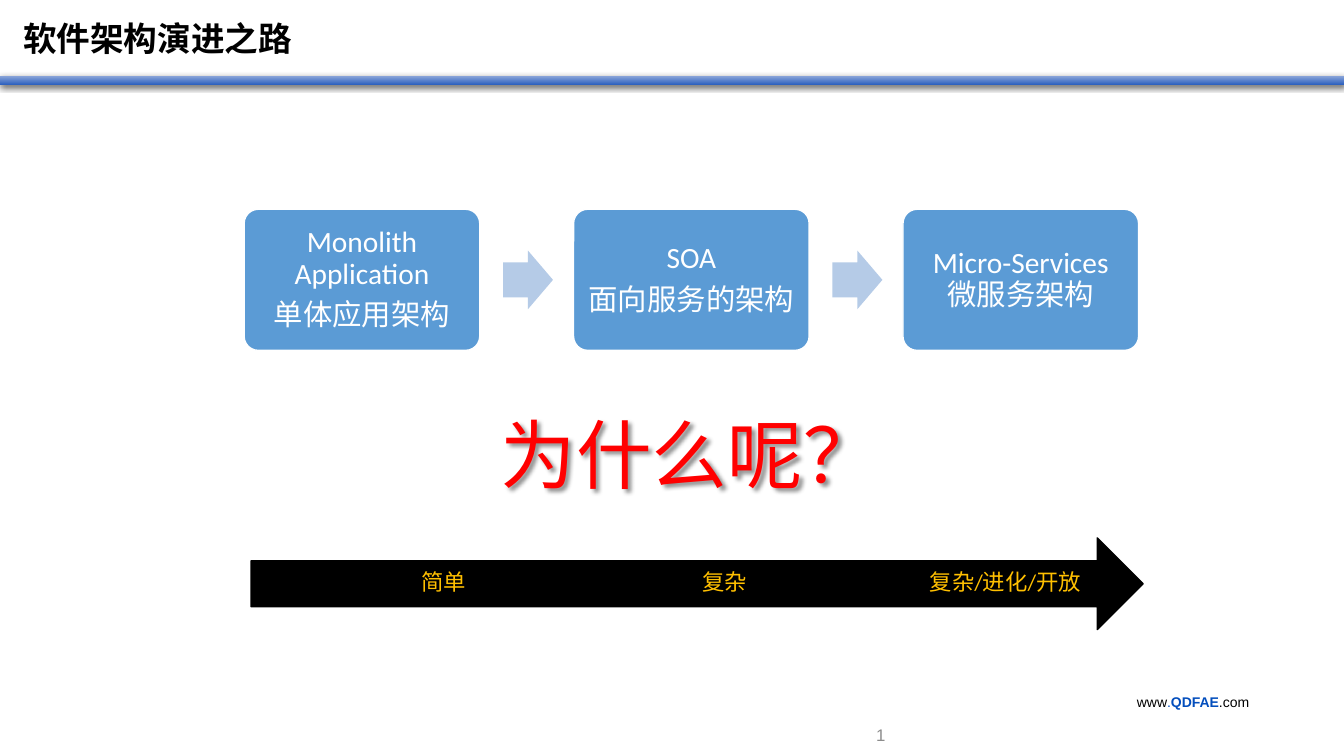
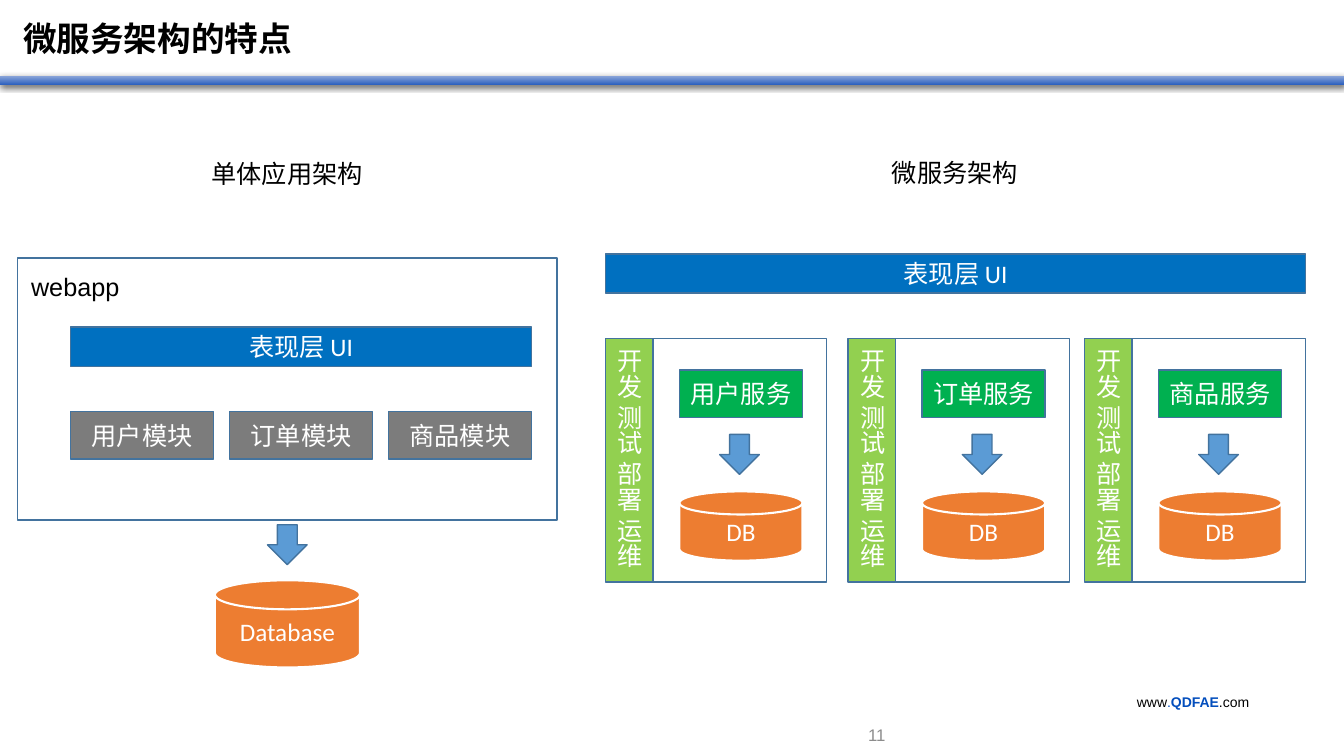
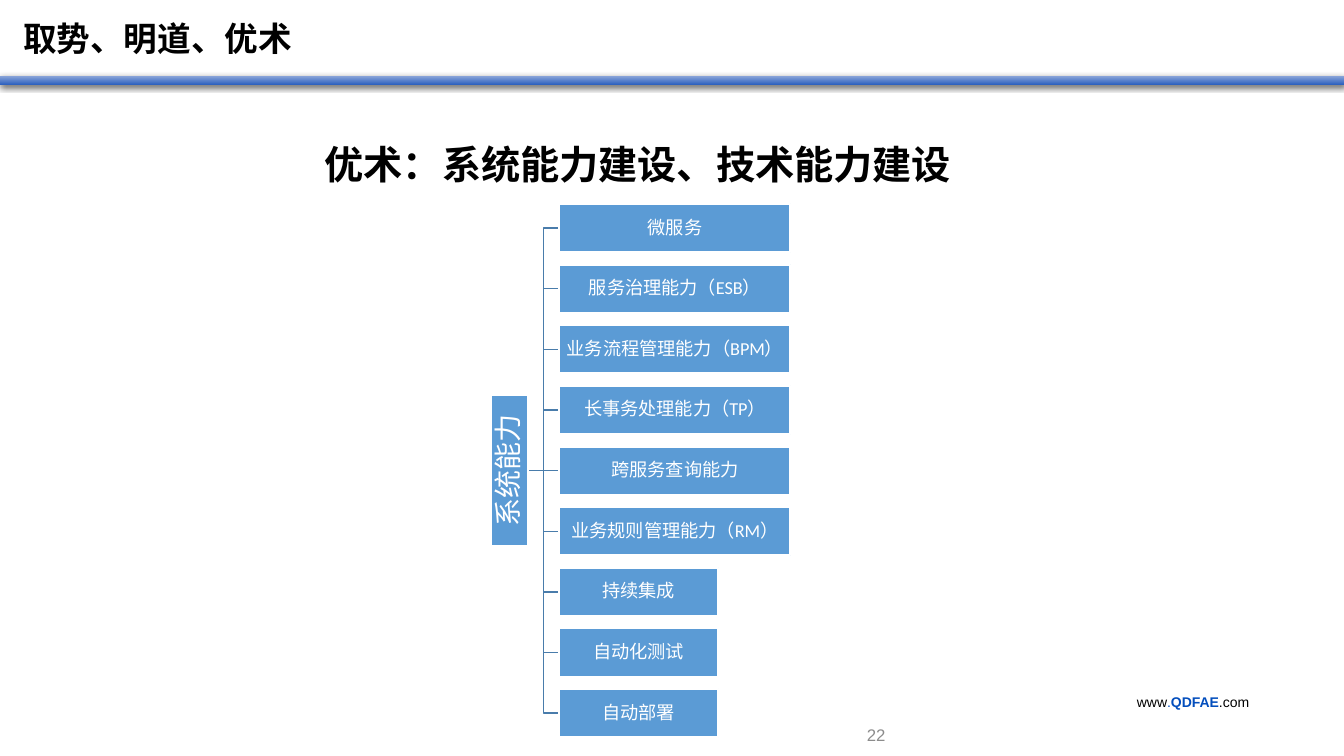
from lxml import etree
from pptx import Presentation
from pptx.dml.color import RGBColor
from pptx.enum.shapes import MSO_CONNECTOR, MSO_SHAPE
from pptx.enum.text import MSO_ANCHOR, PP_ALIGN
from pptx.oxml.ns import qn
from pptx.util import Pt

RECT = MSO_SHAPE.RECTANGLE
ROUND = MSO_SHAPE.ROUNDED_RECTANGLE
RIGHT = MSO_SHAPE.RIGHT_ARROW
DOWN = MSO_SHAPE.DOWN_ARROW
DISK = MSO_SHAPE.FLOWCHART_MAGNETIC_DISK
LINE, ELBOW = MSO_CONNECTOR.STRAIGHT, MSO_CONNECTOR.ELBOW
LEFT, MID, END = PP_ALIGN.LEFT, PP_ALIGN.CENTER, PP_ALIGN.RIGHT
TOP, HALF = MSO_ANCHOR.TOP, MSO_ANCHOR.MIDDLE

BLACK, WHITE, GREY = "000000", "FFFFFF", "7C7C7C"
BLUE, PALE, DEEP, EDGE = "5B9BD5", "B5CBE7", "0070C0", "43739E"
GREEN, LIME, ORANGE = "00B050", "92D050", "ED7D31"
RED, GOLD, LINK, TREE = "FF0000", "FFC000", "034EBD", "497CAB"
FAINT = "8C8C8C"


def rgb(code):
    return RGBColor.from_string(code)


def cast(shape, blur, dist, angle, alpha):
    """Give a shape an outer shadow: points, degrees and percent."""
    shape.shadow.inherit = False
    effects = shape._element.spPr.find(qn("a:effectLst"))
    outer = etree.SubElement(
        effects, qn("a:outerShdw"), blurRad=str(Pt(blur)),
        dist=str(Pt(dist)), dir=str(angle * 60000), rotWithShape="0")
    color = etree.SubElement(outer, qn("a:srgbClr"), val=BLACK)
    etree.SubElement(color, qn("a:alpha"), val=str(alpha * 1000))


def style(para, size, color, face, bold=False):
    font = para.font
    font.size, font.name, font.bold = Pt(size), face, bold
    font.color.rgb = rgb(color)


def write(shape, lines, size, color=WHITE, face="Calibri", bold=False,
          align=MID, anchor=HALF, inset=(7.2, 3.6), wrap=True,
          space=1, gap=0):
    """Fill a shape with one paragraph per line."""
    frame = shape.text_frame
    frame.word_wrap, frame.vertical_anchor = wrap, anchor
    frame.margin_left = frame.margin_right = Pt(inset[0])
    frame.margin_top = frame.margin_bottom = Pt(inset[1])
    for i, line in enumerate(lines):
        para = frame.add_paragraph() if i else frame.paragraphs[0]
        para.text, para.alignment = line, align
        para.line_spacing = space
        para.space_before = Pt(gap if i else 0)
        style(para, size, color, face, bold)


def block(slide, kind, box, fill, line=None, width=1):
    shape = slide.shapes.add_shape(kind, *map(Pt, box))
    shape.shadow.inherit = False
    shape.fill.solid()
    shape.fill.fore_color.rgb = rgb(fill)
    if line:
        shape.line.color.rgb = rgb(line)
        shape.line.width = Pt(width)
    else:
        shape.line.fill.background()
    return shape


def label(slide, box, text, size, color=BLACK, **kind):
    """Add a one-line text box."""
    look = dict(face="Arial", align=LEFT, anchor=TOP, wrap=False)
    shape = slide.shapes.add_textbox(*map(Pt, box))
    write(shape, [text], size, color, **{**look, **kind})
    return shape


def cell(slide, box, text, fill):
    shape = block(slide, RECT, box, fill, EDGE)
    write(shape, [text], 18)
    return shape


def store(slide, box, text):
    write(block(slide, DISK, box, ORANGE, WHITE, 1.5), [text], 18)


def drop(slide, x, y):
    block(slide, DOWN, (x, y, 28.3, 28.5), BLUE, EDGE)


def wire(slide, kind, x1, y1, x2, y2):
    line = slide.shapes.add_connector(kind, *map(Pt, (x1, y1, x2, y2)))
    line.line.color.rgb = rgb(TREE)
    line.line.width = Pt(1)
    etree.SubElement(line._element.spPr, qn("a:effectLst"))
    return line


def page(deck, title, number):
    """Start a slide with the shared title, band and footer."""
    slide = deck.slides.add_slide(deck.slide_layouts[6])
    band = block(slide, RECT, (0, 54.4, 960, 6), BLUE)
    band.fill.gradient()
    band.fill.gradient_angle = 270
    for stop, color in zip(band.fill.gradient_stops, ("8BA5D9", "2F62BF")):
        stop.color.rgb = rgb(color)
    cast(band, 4.5, 1.5, 90, 63)
    label(slide, (9.4, 9.4, 208, 36), title, 24, bold=True)
    label(slide, (416, 509.8, 223.6, 30), number, 12, FAINT,
          align=END, anchor=HALF)
    # Web address in mixed colours
    site = label(slide, (805, 491.8, 96.5, 19.4), "", 10)
    para = site.text_frame.paragraphs[0]
    for text, color, bold in (("www", BLACK, False), (".", LINK, False),
                              ("QDFAE", LINK, True), (".com", BLACK, False)):
        run = para.add_run()
        run.text, run.font.bold = text, bold
        run.font.color.rgb = rgb(color)
    return slide


def road(deck):
    slide = page(deck, "软件架构演进之路", "1")
    # Three stages with arrows between
    stages = (["Monolith Application", "单体应用架构"],
              ["SOA", "面向服务的架构"], ["Micro-Services 微服务架构"])
    for i, lines in enumerate(stages):
        x = 174.4 + 235.3 * i
        stage = block(slide, ROUND, (x, 149.5, 168.3, 100.8), BLUE, WHITE)
        stage.adjustments[0] = 0.1
        write(stage, lines, 21, inset=(6, 6), space=0.9, gap=7)
        if i:
            arrow = block(slide, RIGHT, (x - 50.4, 179, 35.7, 41.8), PALE)
            arrow.adjustments[0] = 0.6
    # Question
    ask = label(slide, (350.6, 287.8, 287.3, 72.7), "为什么呢？", 54, RED)
    cast(ask, 3, 3, 45, 43)
    # Scale from simple to open
    block(slide, RIGHT, (179.3, 384.2, 637.2, 65.5), BLACK, BLACK)
    for i, text in enumerate(("简单", "复杂", "复杂/进化/开放")):
        label(slide, (233.2 + 200.7 * i, 400.5, 167, 32.4), text, 16, GOLD,
              face="Calibri", align=MID, anchor=HALF, inset=(0, 0),
              wrap=True, space=0.9)


def traits(deck):
    slide = page(deck, "微服务架构的特点", "11")
    layer = "表现层 UI"
    # Monolith
    label(slide, (144, 109.8, 123.8, 28.8), "单体应用架构", 18)
    block(slide, RECT, (12.5, 184.3, 385.4, 187.2), WHITE, EDGE)
    label(slide, (15.1, 190, 78.5, 28.8), "webapp", 18)
    cell(slide, (50.4, 233.7, 329.3, 28), layer, DEEP)
    for i, text in enumerate(("用户模块", "订单模块", "商品模块")):
        cell(slide, (50.4 + 113.5 * i, 294, 102.2, 34), text, GREY)
    drop(slide, 191.1, 374.8)
    store(slide, (153.5, 414.5, 103.7, 62.3), "Database")
    # Services, each with its own team and data
    label(slide, (630, 109, 105, 28.8), "微服务架构", 18)
    cell(slide, (432.7, 181.4, 499.7, 28), layer, DEEP)
    teams = ((432.5, "用户服务"), (605.8, "订单服务"), (774.7, "商品服务"))
    for x, text in teams:
        block(slide, RECT, (x + 34, 242, 124, 173.7), WHITE, EDGE)
        cell(slide, (x + 52.8, 264.2, 88, 34), text, GREEN)
        drop(slide, x + 81.6, 310.3)
        store(slide, (x + 52.8, 351, 88, 49.5), "DB")
        strip = cell(slide, (x, 242, 34, 173.7), "开发 测试 部署 运维", LIME)
        strip.text_frame._txBody.bodyPr.set("vert", "eaVert")


def skills(deck):
    slide = page(deck, "取势、明道、优术", "22")
    label(slide, (224.8, 96.5, 466.6, 41), "优术：系统能力建设、技术能力建设",
          28, bold=True)
    names = ("微服务", "服务治理能力（ESB）", "业务流程管理能力（BPM）",
             "长事务处理能力（TP）", "跨服务查询能力",
             "业务规则管理能力（RM）", "持续集成", "自动化测试", "自动部署")
    top, step, high = 145.7, 43.3, 34.5
    start, left, half = 376.8, 399.6, len(names) // 2
    center = top + step * half + high / 2
    # Branches from the root to each skill
    for i, text in enumerate(names):
        y, wide = top + step * i, 165 if i < 6 else 113.3
        kind = LINE if i == half else ELBOW
        twig = wire(slide, kind, start, center, left, y + high / 2)
        item = block(slide, RECT, (left, y, wide, high), BLUE, WHITE, 1.5)
        write(item, [text], 13, inset=(1, 1), space=0.9)
        if i == half:
            twig.end_connect(item, 1)
    # Root
    root = block(slide, RECT, (310, center - 13, 108, 26), BLUE, WHITE, 1.5)
    root.rotation = 270
    write(root, ["系统能力"], 20, inset=(1, 1), space=0.9)


def main():
    deck = Presentation()
    deck.slide_width, deck.slide_height = Pt(960), Pt(540)
    road(deck)
    traits(deck)
    skills(deck)
    deck.save("out.pptx")


if __name__ == "__main__":
    main()
